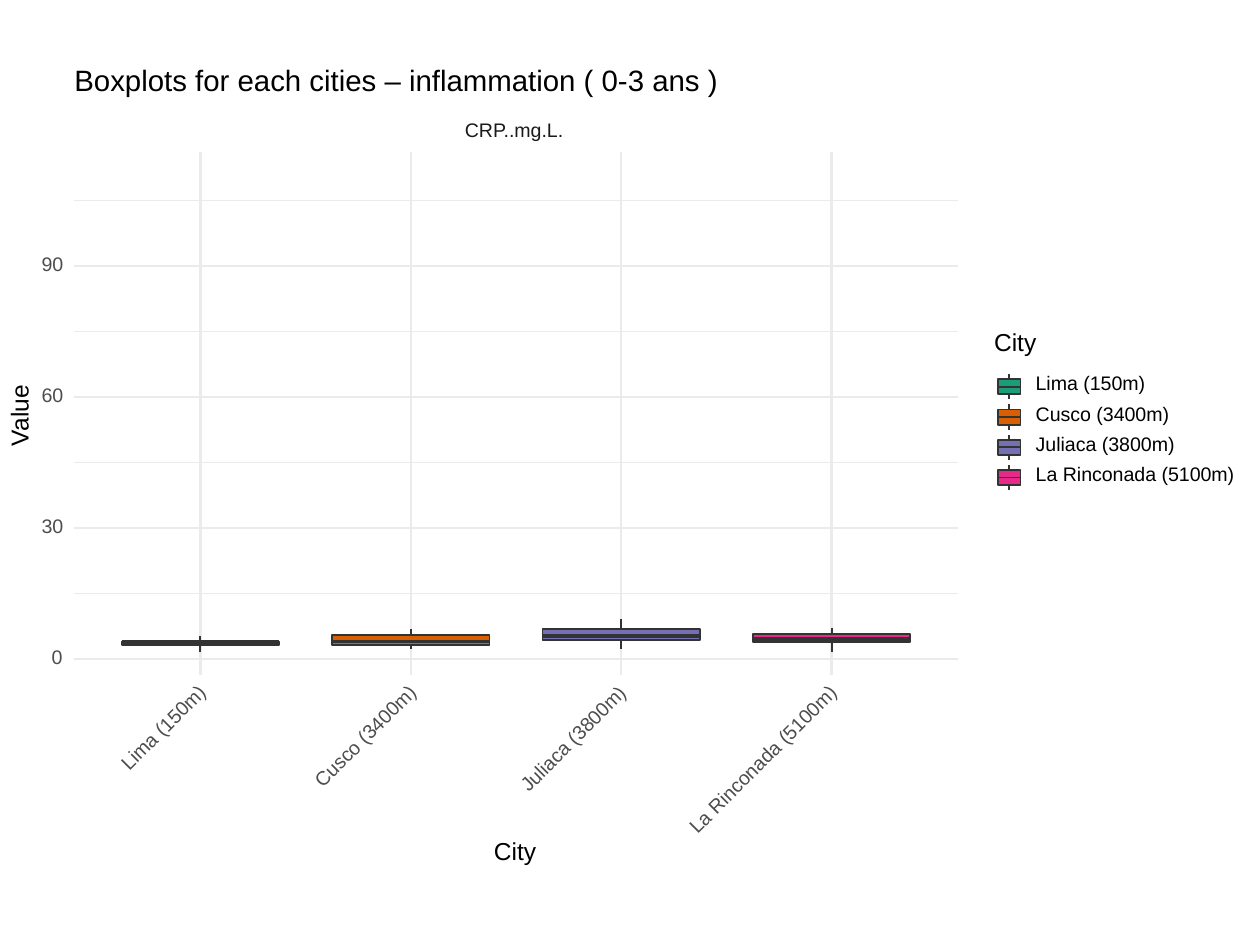
"""Build a slide with box plots of CRP values in four cities."""
from dataclasses import dataclass
from math import sqrt

from lxml import etree
from pptx import Presentation
from pptx import util as u
from pptx.dml.color import RGBColor
from pptx.enum import shapes, text
from pptx.oxml import ns


@dataclass(frozen=True)
class Theme:
    """Colours, font, type sizes and line widths."""
    font: str = "Arial"
    white: str = "FFFFFF"
    black: str = "000000"
    strip: str = "1A1A1A"
    tick: str = "4D4D4D"
    grid: str = "EBEBEB"
    ink: str = "333333"
    small: float = 11.2
    medium: float = 14
    large: float = 16.8
    minor: float = 0.68
    major: float = 1.36
    outline: float = 1.07
    median: float = 2.13


@dataclass(frozen=True)
class City:
    """One city with its fill, label width and five box values from high to low."""
    name: str
    fill: str
    width: float
    values: tuple


THEME = Theme()
CITIES = (
    City("Lima (150m)", "1B9E77", 0.87, (5.2, 4.0, 3.8, 3.2, 1.7)),
    City("Cusco (3400m)", "D95F02", 1.06, (6.9, 5.5, 4.0, 3.2, 2.3)),
    City("Juliaca (3800m)", "7570B3", 1.11, (9.2, 6.9, 5.2, 4.3, 2.3)),
    City("La Rinconada (5100m)", "E7298A", 1.58, (7.2, 5.8, 4.6, 3.8, 1.7)),
)
PLOT_LEFT, PLOT_RIGHT, PLOT_TOP, PLOT_BOTTOM = 0.59, 7.6, 1.21, 5.36
FIRST_CITY, CITY_STEP, BOX_WIDTH = 1.59, 1.67, 1.25
ZERO_Y, UNIT = 5.23, 1.04 / 30
LEGEND_X, LEGEND_Y, LEGEND_STEP = 8.01, 3.07, 0.24


def value_y(value):
    """Return the height on the page of a value."""
    return ZERO_Y - value * UNIT


def city_x(index):
    """Return the centre of a city's column."""
    return FIRST_CITY + index * CITY_STEP


def write(box, words, size, colour):
    """Write one line of text into a shape without margins or wrapping."""
    frame = box.text_frame
    frame.margin_left = frame.margin_right = 0
    frame.margin_top = frame.margin_bottom = 0
    frame.word_wrap = False
    frame.auto_size = text.MSO_AUTO_SIZE.NONE
    frame.vertical_anchor = text.MSO_ANCHOR.MIDDLE
    para = frame.paragraphs[0]
    para.alignment = text.PP_ALIGN.LEFT
    para.line_spacing = u.Pt(size)
    span = para.add_run()
    span.text = words
    span.font.name = THEME.font
    span.font.size = u.Pt(size)
    span.font.color.rgb = RGBColor.from_string(colour)


def add_label(page, words, left, top, width, height, size, colour, rotation=0):
    """Add a text box with one line of text."""
    box = page.shapes.add_textbox(*map(u.Inches, (left, top, width, height)))
    box.rotation = rotation
    write(box, words, size, colour)


def add_line(page, x1, y1, x2, y2, colour, width):
    """Add a straight line without shadow."""
    line = page.shapes.add_connector(
        shapes.MSO_CONNECTOR.STRAIGHT, *map(u.Inches, (x1, y1, x2, y2)))
    line.line.color.rgb = RGBColor.from_string(colour)
    line.line.width = u.Pt(width)
    etree.SubElement(line.element.spPr, ns.qn("a:effectLst"))
    return line


def add_rectangle(page, left, top, width, height, fill, colour, line_width):
    """Add a filled rectangle without shadow."""
    box = page.shapes.add_shape(
        shapes.MSO_SHAPE.RECTANGLE, *map(u.Inches, (left, top, width, height)))
    box.shadow.inherit = False
    box.fill.solid()
    box.fill.fore_color.rgb = RGBColor.from_string(fill)
    box.line.color.rgb = RGBColor.from_string(colour)
    box.line.width = u.Pt(line_width)
    return box


def add_box_plot(page, x, heights, width, fill, median_width):
    """Add a box with its median and two joined whiskers."""
    high, top, median, bottom, low = heights
    left = x - width / 2
    box = add_rectangle(page, left, top, width, bottom - top, fill, THEME.ink, THEME.outline)
    for site, start, end in ((0, top, high), (2, bottom, low)):
        whisker = add_line(page, x, start, x, end, THEME.ink, THEME.outline)
        whisker.begin_connect(box, site)
    add_line(page, left, median, left + width, median, THEME.ink, median_width)


def add_title(page):
    """Fill the title and put the white panel behind it."""
    title = page.shapes.title
    title.left, title.top, title.width, title.height = map(u.Inches, (0.59, 0.55, 5.11, 0.22))
    write(title, "Boxplots for each cities – inflammation ( 0-3 ans )", THEME.large, THEME.black)
    panel = add_rectangle(page, 0, 0.5, 10, 6.5, THEME.white, THEME.white, 0.75)
    title.element.addprevious(panel.element)


def add_grid(page):
    """Add the minor and major grid lines."""
    for values, width in ((range(15, 106, 30), THEME.minor), (range(0, 91, 30), THEME.major)):
        for value in values:
            y = value_y(value)
            add_line(page, PLOT_LEFT, y, PLOT_RIGHT, y, THEME.grid, width)
    for index in range(len(CITIES)):
        x = city_x(index)
        add_line(page, x, PLOT_BOTTOM, x, PLOT_TOP, THEME.grid, THEME.major)


def add_axes(page):
    """Add the strip heading, tick labels and axis titles."""
    add_label(page, "CRP..mg.L.", 3.69, 0.97, 0.8, 0.15, THEME.small, THEME.strip)
    for index, city in enumerate(CITIES):
        shift = city.width / 2 / sqrt(2)
        x, y = city_x(index) + 0.02 - shift, 5.48 + shift
        add_label(page, city.name, x - city.width / 2, y - 0.08, city.width, 0.15,
                  THEME.small, THEME.tick, 315)
    for value in range(0, 91, 30):
        width = 0.17 if value else 0.09
        add_label(page, str(value), 0.5 - width, value_y(value) - 0.06, width, 0.11,
                  THEME.small, THEME.tick)
    add_label(page, "City", 3.92, 6.68, 0.33, 0.18, THEME.medium, THEME.black)
    add_label(page, "Value", -0.08, 3.22, 0.5, 0.14, THEME.medium, THEME.black, 270)


def add_legend(page):
    """Add the legend with a small box plot for each city."""
    add_label(page, "City", 7.89, 2.64, 0.33, 0.18, THEME.medium, THEME.black)
    for index, city in enumerate(CITIES):
        y = LEGEND_Y + index * LEGEND_STEP
        heights = [y + offset for offset in (-0.1, -0.06, 0, 0.06, 0.1)]
        add_box_plot(page, LEGEND_X, heights, 0.18, city.fill, THEME.outline)
        add_label(page, city.name, 8.22, y - 0.09, city.width, 0.15, THEME.small, THEME.black)


def main():
    """Build and save the deck."""
    deck = Presentation()
    deck.slide_width, deck.slide_height = u.Inches(10), u.Inches(7.5)
    page = deck.slides.add_slide(deck.slide_layouts.get_by_name("Title Only"))
    add_title(page)
    add_grid(page)
    for index, city in enumerate(CITIES):
        heights = [value_y(value) for value in city.values]
        add_box_plot(page, city_x(index), heights, BOX_WIDTH, city.fill, THEME.median)
    add_axes(page)
    add_legend(page)
    deck.save("out.pptx")


if __name__ == "__main__":
    main()
